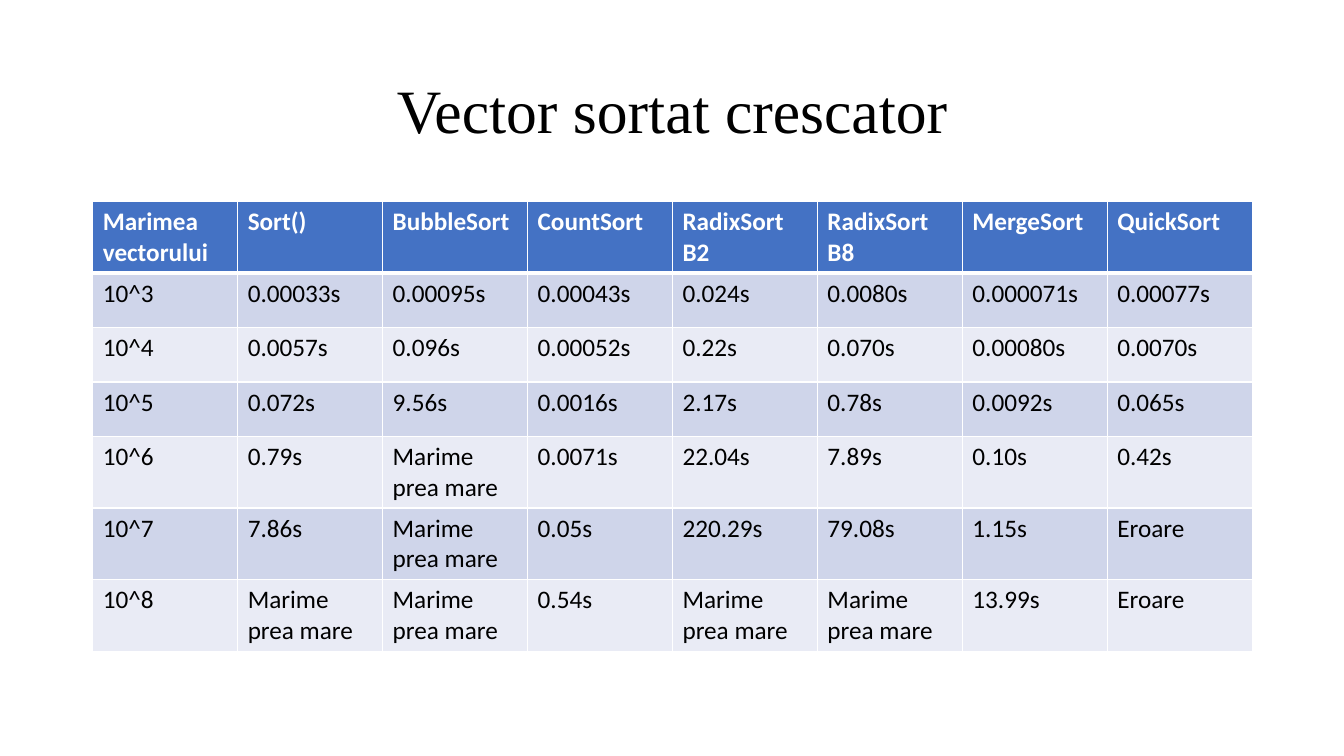
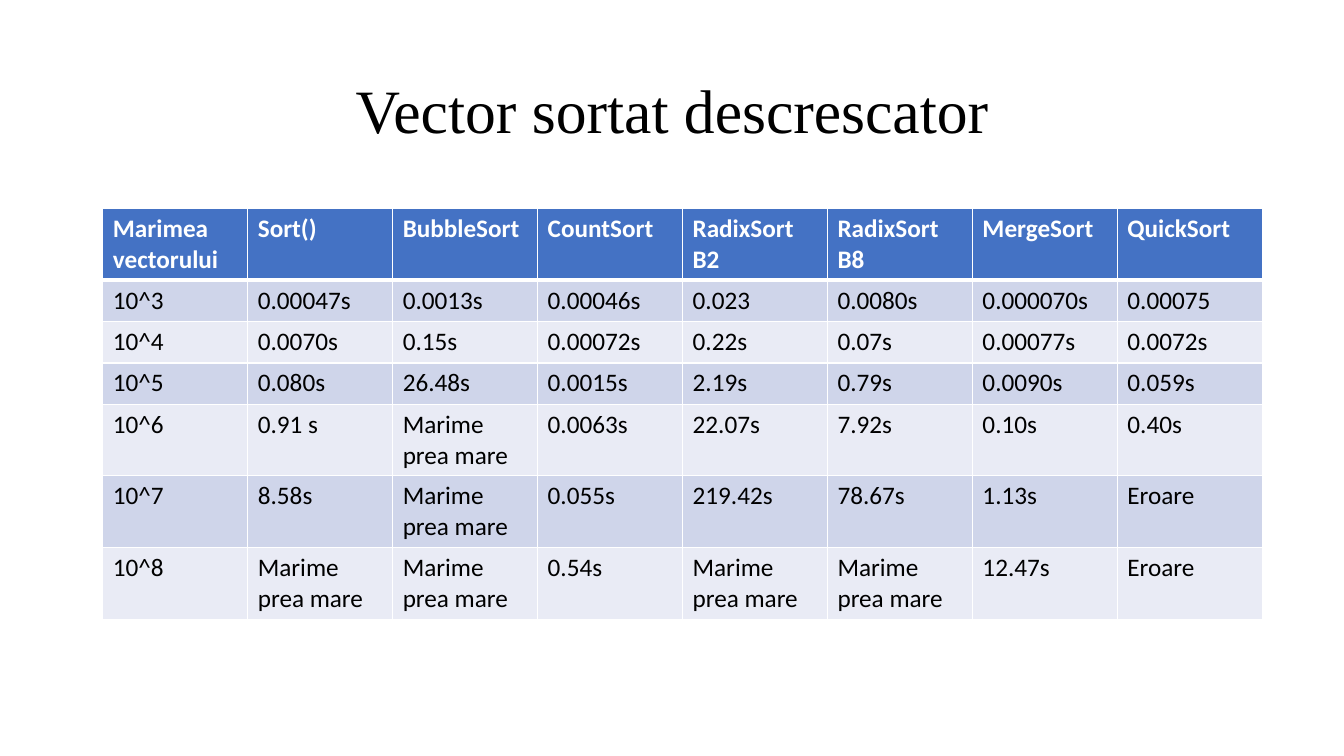
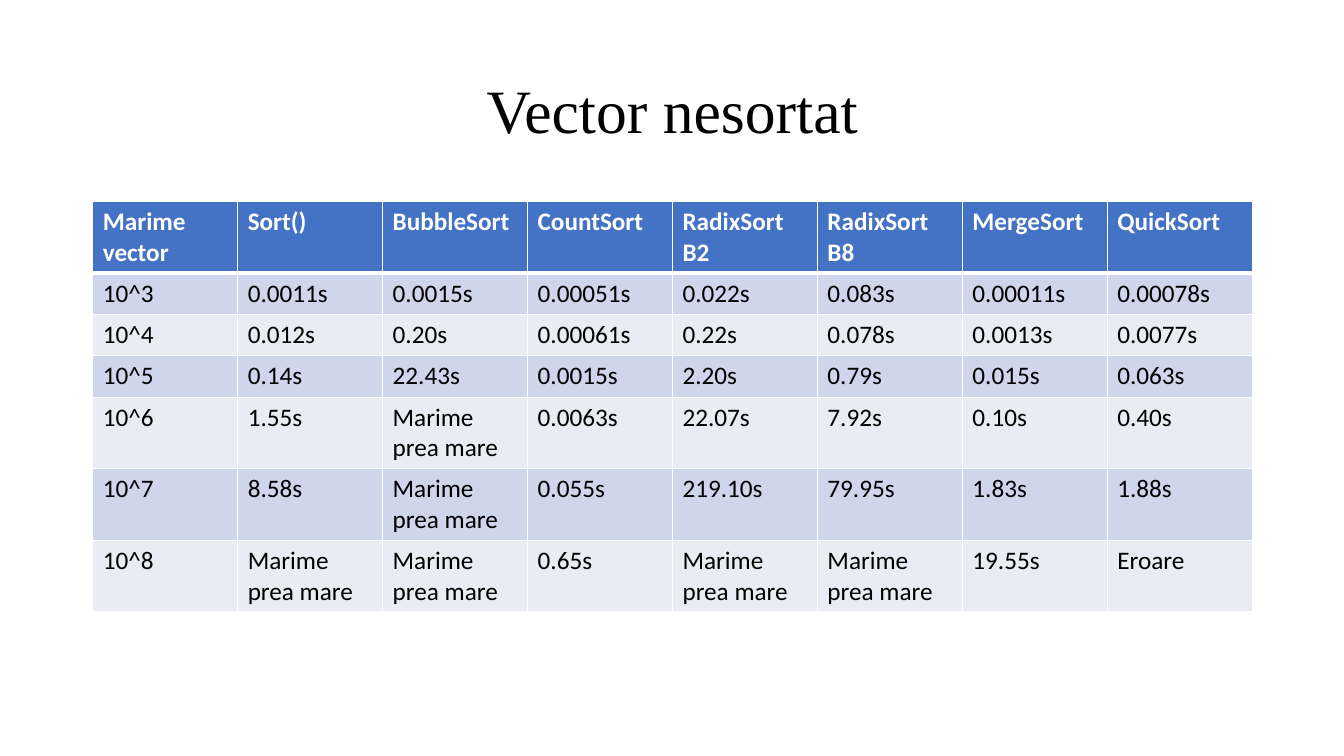
from lxml import etree
from pptx import Presentation
from pptx.dml.color import RGBColor
from pptx.enum.text import MSO_ANCHOR, PP_ALIGN
from pptx.oxml.ns import qn
from pptx.util import Inches, Pt

LEFT, CENTER = PP_ALIGN.LEFT, PP_ALIGN.CENTER
MIDDLE = MSO_ANCHOR.MIDDLE
BLACK = RGBColor(0x00, 0x00, 0x00)
WHITE = RGBColor(0xFF, 0xFF, 0xFF)
BLUE = RGBColor(0x44, 0x72, 0xC4)
BANDS = (RGBColor(0xE9, 0xEB, 0xF5), RGBColor(0xCF, 0xD5, 0xEA))
SERIF, SANS = "Times New Roman", "Calibri"
TITLE_ONLY = 5

SORTS = ["Sort()", "BubbleSort", "CountSort", "RadixSort B2",
         "RadixSort B8", "MergeSort", "QuickSort"]
BIG = "Marime prea mare"
FAIL = "Eroare"

RISING = [
    ["0.00033s", "0.00095s", "0.00043s", "0.024s", "0.0080s", "0.000071s", "0.00077s"],
    ["0.0057s", "0.096s", "0.00052s", "0.22s", "0.070s", "0.00080s", "0.0070s"],
    ["0.072s", "9.56s", "0.0016s", "2.17s", "0.78s", "0.0092s", "0.065s"],
    ["0.79s", BIG, "0.0071s", "22.04s", "7.89s", "0.10s", "0.42s"],
    ["7.86s", BIG, "0.05s", "220.29s", "79.08s", "1.15s", FAIL],
    [BIG, BIG, "0.54s", BIG, BIG, "13.99s", FAIL],
]
FALLING = [
    ["0.00047s", "0.0013s", "0.00046s", "0.023", "0.0080s", "0.000070s", "0.00075"],
    ["0.0070s", "0.15s", "0.00072s", "0.22s", "0.07s", "0.00077s", "0.0072s"],
    ["0.080s", "26.48s", "0.0015s", "2.19s", "0.79s", "0.0090s", "0.059s"],
    ["0.91 s", BIG, "0.0063s", "22.07s", "7.92s", "0.10s", "0.40s"],
    ["8.58s", BIG, "0.055s", "219.42s", "78.67s", "1.13s", FAIL],
    [BIG, BIG, "0.54s", BIG, BIG, "12.47s", FAIL],
]
MIXED = [
    ["0.0011s", "0.0015s", "0.00051s", "0.022s", "0.083s", "0.00011s", "0.00078s"],
    ["0.012s", "0.20s", "0.00061s", "0.22s", "0.078s", "0.0013s", "0.0077s"],
    ["0.14s", "22.43s", "0.0015s", "2.20s", "0.79s", "0.015s", "0.063s"],
    ["1.55s", BIG, "0.0063s", "22.07s", "7.92s", "0.10s", "0.40s"],
    ["8.58s", BIG, "0.055s", "219.10s", "79.95s", "1.83s", "1.88s"],
    [BIG, BIG, "0.65s", BIG, BIG, "19.55s", FAIL],
]


def write(frame, text, font=SANS, size=18, color=BLACK, bold=False,
          align=LEFT, space=1.0):
    """Put one formatted paragraph into a text frame."""
    para = frame.paragraphs[0]
    para.alignment, para.line_spacing = align, space
    run = para.add_run()
    run.text = text
    run.font.name, run.font.size = font, Pt(size)
    run.font.color.rgb, run.font.bold = color, bold


def border(cell, **widths):
    """Draw white cell borders; widths in points, keyed L, R, T, B."""
    props = cell._tc.get_or_add_tcPr()
    for spot, (side, width) in enumerate(widths.items()):
        line = etree.Element(qn(f"a:ln{side}"), w=str(Pt(width)))
        fill = etree.SubElement(line, qn("a:solidFill"))
        etree.SubElement(fill, qn("a:srgbClr"), val=str(WHITE))
        props.insert(spot, line)


class Deck:
    """Holds the shared style and the current slide."""

    def __init__(self):
        """Start a wide presentation."""
        self.show = Presentation()
        self.show.slide_width = Inches(13.33)
        self.show.slide_height = Inches(7.5)
        self.slide = None

    def title(self, text):
        """Open a new slide with a centred title."""
        layout = self.show.slide_layouts[TITLE_ONLY]
        self.slide = self.show.slides.add_slide(layout)
        shape = self.slide.shapes.title
        shape.left, shape.top = Inches(0.92), Inches(0.4)
        shape.width, shape.height = Inches(11.5), Inches(1.45)
        shape.text_frame.vertical_anchor = MIDDLE
        write(shape.text_frame, text, font=SERIF, size=44,
              align=CENTER, space=0.9)

    def table(self, corner, times, left, top, height, row):
        """Add the timing table; row is the least row height."""
        sizes = [[f"10^{power}"] + line for power, line in enumerate(times, 3)]
        grid = [[corner] + SORTS] + sizes
        table = self.slide.shapes.add_table(
            len(grid), len(grid[0]), Inches(left), Inches(top),
            Inches(11.5), Inches(height)).table
        for r, line in enumerate(grid):
            table.rows[r].height = Inches(row)
            head = r == 0
            for c, text in enumerate(line):
                cell = table.cell(r, c)
                cell.fill.solid()
                cell.fill.fore_color.rgb = BLUE if head else BANDS[r % 2]
                border(cell, L=1, R=1, T=3 if r == 1 else 1, B=3 if head else 1)
                write(cell.text_frame, text, bold=head,
                      color=WHITE if head else BLACK)


deck = Deck()
deck.title("Vector sortat crescator")
deck.table("Marimea vectorului", RISING, 0.92, 2, 4.42, 0.54)
deck.title("Vector sortat descrescator")
deck.table("Marimea vectorului", FALLING, 1.02, 2.07, 4.02, 0.41)
deck.title("Vector nesortat")
deck.table("Marime vector", MIXED, 0.92, 2, 4.02, 0.41)
deck.show.save("out.pptx")
